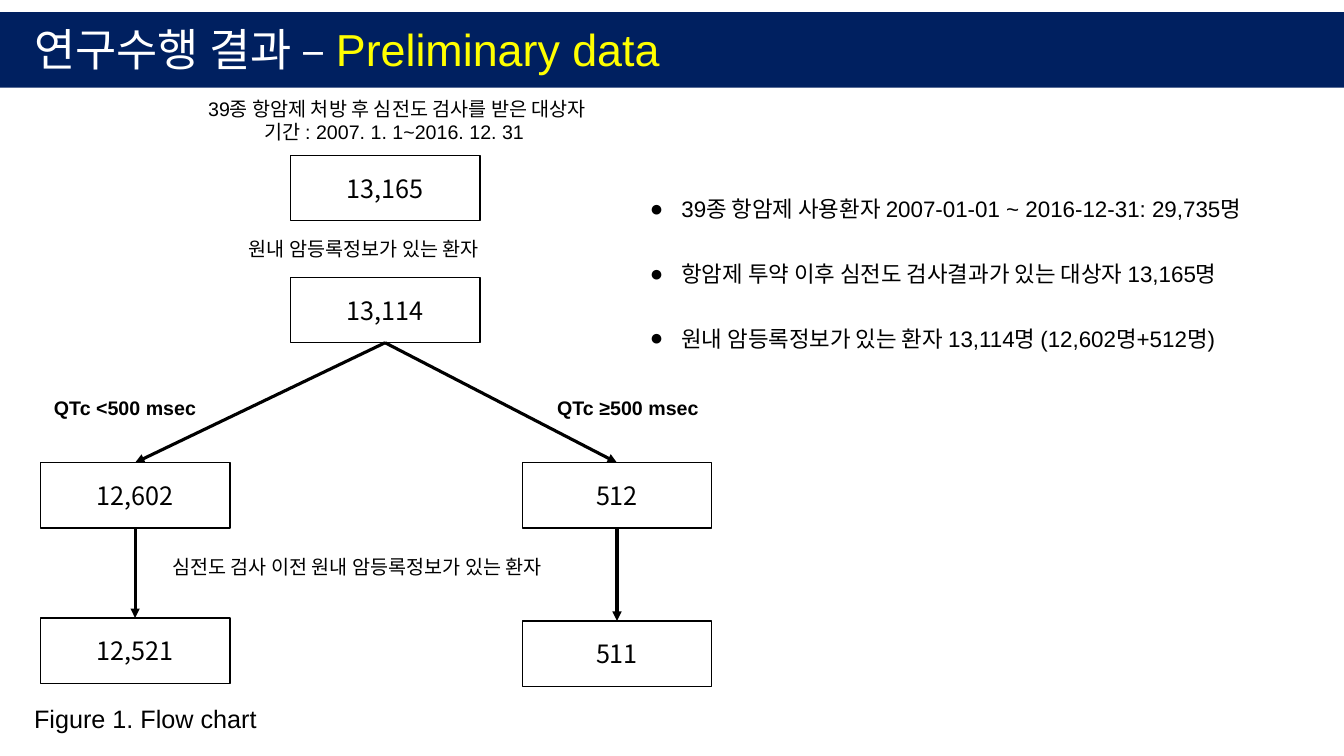
from collections import namedtuple
from dataclasses import dataclass

from lxml.etree import SubElement
from pptx import Presentation
from pptx.dml.color import RGBColor
from pptx.enum.shapes import MSO_CONNECTOR, MSO_SHAPE
from pptx.enum.text import MSO_ANCHOR, PP_ALIGN
from pptx.oxml.ns import qn
from pptx.util import Pt

Box = namedtuple("Box", "left top width height")


@dataclass(frozen=True)
class Theme:
    navy: RGBColor = RGBColor(0x00, 0x20, 0x60)
    yellow: RGBColor = RGBColor(0xFF, 0xFF, 0x00)
    white: RGBColor = RGBColor(0xFF, 0xFF, 0xFF)
    black: RGBColor = RGBColor(0x00, 0x00, 0x00)
    latin: str = "Arial"
    korean: str = "Noto Sans CJK KR"
    title: int = 32
    count: int = 18
    caption: int = 18
    finding: int = 16
    label: int = 14


THEME = Theme()
BOTTOM, TOP = 2, 0


def within(area, left, top, width, height):
    return Box(area.left + left, area.top + top, width, height)


def points(box):
    return [Pt(length) for length in box]


def add_run(paragraph, text, size, color=THEME.black, face=THEME.latin, bold=False):
    run = paragraph.add_run()
    run.text = text
    run.font.size = Pt(size)
    run.font.bold = bold
    run.font.color.rgb = color
    run.font.name = face
    SubElement(run.font._element, qn("a:ea"), typeface=THEME.korean)


def add_frame(slide, box, anchor=MSO_ANCHOR.TOP):
    frame = slide.shapes.add_textbox(*points(box)).text_frame
    frame.word_wrap = True
    frame.vertical_anchor = anchor
    return frame


def add_label(slide, box, lines, size=THEME.label, align=PP_ALIGN.LEFT,
              anchor=MSO_ANCHOR.TOP, bold=False):
    frame = add_frame(slide, box, anchor)
    for number, line in enumerate(lines):
        paragraph = frame.add_paragraph() if number else frame.paragraphs[0]
        paragraph.alignment = align
        add_run(paragraph, line, size, bold=bold)


def add_rectangle(slide, box, fill):
    rectangle = slide.shapes.add_shape(MSO_SHAPE.RECTANGLE, *points(box))
    rectangle.shadow.inherit = False
    rectangle.fill.solid()
    rectangle.fill.fore_color.rgb = fill
    return rectangle


def add_count(slide, box, count):
    cohort = add_rectangle(slide, box, THEME.white)
    cohort.line.color.rgb = THEME.black
    cohort.line.width = Pt(1)
    cohort.text_frame.vertical_anchor = MSO_ANCHOR.MIDDLE
    paragraph = cohort.text_frame.paragraphs[0]
    paragraph.alignment = PP_ALIGN.CENTER
    add_run(paragraph, count, THEME.count, face=THEME.korean)
    return cohort


def add_arrow(slide, source, target):
    arrow = slide.shapes.add_connector(MSO_CONNECTOR.STRAIGHT, 0, 0, 0, 0)
    arrow.begin_connect(source, BOTTOM)
    arrow.end_connect(target, TOP)
    arrow.line.color.rgb = THEME.black
    arrow.line.width = Pt(2.25)
    SubElement(arrow.line._get_or_add_ln(), qn("a:tailEnd"), type="triangle")
    SubElement(arrow._element.spPr, qn("a:effectLst"))


def add_header(slide, area):
    add_rectangle(slide, area, THEME.navy).line.fill.background()
    title = add_frame(slide, within(area, 17.3, 3.6, 505.4, 46)).paragraphs[0]
    add_run(title, "연구수행 결과 – ", THEME.title, THEME.white)
    add_run(title, "Preliminary data", THEME.title, THEME.yellow)


def add_flow_chart(slide, area):
    width, height = 135.4, 46.8
    middle = 190.1
    branches = (
        (11.5, 13, "QTc <500 msec", "12,602", "12,521", 375.9),
        (355.7, 372.2, "QTc ≥500 msec", "512", "511", 378),
    )

    add_label(slide, within(area, 107.3, 0, 318.2, 41),
              ("39종 항암제 처방 후 심전도 검사를 받은 대상자",
               "기간 : 2007. 1. 1~2016. 12. 31 "), align=PP_ALIGN.CENTER)
    add_count(slide, within(area, middle, 45.4, width, height), "13,165")
    add_label(slide, within(area, 153.3, 100, 202.3, 24.5),
              ("원내 암등록정보가 있는 환자",))
    registered = add_count(slide, within(area, middle, 132.5, width, height), "13,114")

    for left, label_left, interval, measured, confirmed, last_top in branches:
        first = add_count(slide, within(area, left, 265, width, height), measured)
        last = add_count(slide, within(area, left, last_top, width, height), confirmed)
        add_arrow(slide, registered, first)
        add_arrow(slide, first, last)
        add_label(slide, within(area, label_left, 210.2, 118, 31.7), (interval,),
                  align=PP_ALIGN.CENTER, anchor=MSO_ANCHOR.MIDDLE, bold=True)

    add_label(slide, within(area, 98.6, 327.6, 318.2, 24.5),
              ("심전도 검사 이전 원내 암등록정보가 있는 환자",))
    add_label(slide, within(area, 0, 433.5, 480.2, 28.8),
              ("Figure 1. Flow chart",), size=THEME.caption)


def add_bullet(paragraph):
    properties = paragraph._p.get_or_add_pPr()
    properties.set("marL", str(Pt(22.5)))
    properties.set("indent", str(-Pt(22.5)))
    bullet_color = SubElement(properties, qn("a:buClr"))
    SubElement(bullet_color, qn("a:srgbClr"), val=str(THEME.black))
    SubElement(properties, qn("a:buFont"), typeface=THEME.latin)
    SubElement(properties, qn("a:buChar"), char="●")


def add_findings(slide, area):
    findings = (
        "39종 항암제 사용환자 2007-01-01 ~ 2016-12-31: 29,735명",
        "항암제 투약 이후 심전도 검사결과가 있는 대상자 13,165명",
        "원내 암등록정보가 있는 환자 13,114명 (12,602명+512명)",
    )
    frame = add_frame(slide, area)
    for number, finding in enumerate(findings):
        paragraph = frame.add_paragraph() if number else frame.paragraphs[0]
        add_bullet(paragraph)
        paragraph.alignment = PP_ALIGN.JUSTIFY
        paragraph.line_spacing = 2.0
        if number:
            paragraph.space_before = Pt(8)
        add_run(paragraph, finding, THEME.finding)


def main():
    deck = Presentation()
    deck.slide_width, deck.slide_height = Pt(960), Pt(540)
    slide = deck.slides.add_slide(deck.slide_layouts[6])
    add_header(slide, Box(0, 8.6, 960, 54))
    add_flow_chart(slide, Box(17.3, 65.5, 492, 462.3))
    add_findings(slide, Box(457.2, 116.6, 492.5, 185))
    deck.save("out.pptx")


if __name__ == "__main__":
    main()
